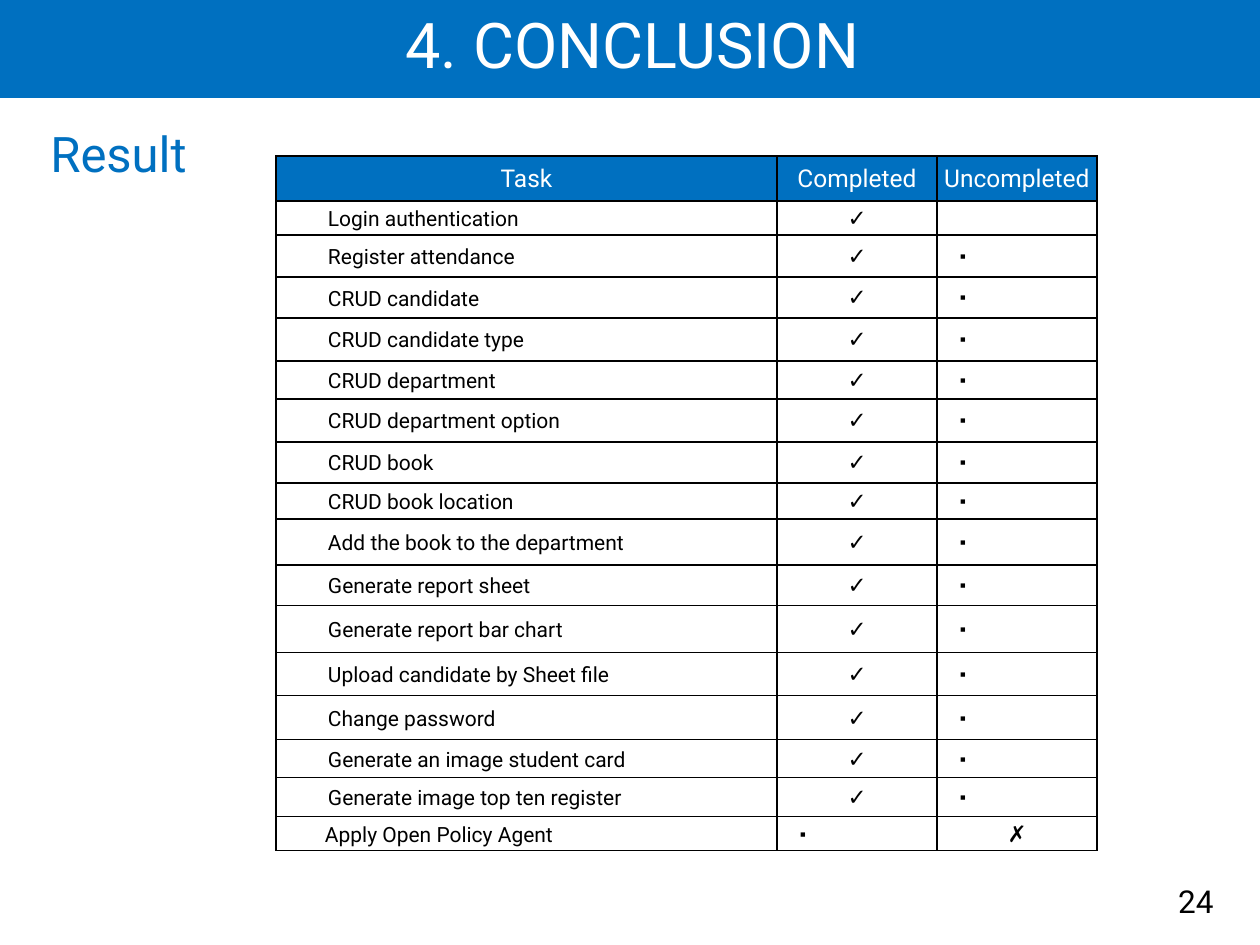
from dataclasses import dataclass

from lxml.etree import SubElement
from pptx import Presentation
from pptx.dml.color import RGBColor
from pptx.enum.shapes import MSO_SHAPE
from pptx.enum.text import MSO_ANCHOR, PP_ALIGN
from pptx.oxml.ns import qn
from pptx.util import Emu, Pt

PX_PER_INCH = 126


@dataclass(frozen=True)
class Theme:
    blue: str = "0070C0"
    white: str = "FFFFFF"
    black: str = "000000"
    font: str = "Roboto"
    symbol_font: str = "Arial"
    title: int = 36
    heading: int = 28
    page_number: int = 18
    header: int = 14
    task: int = 12
    mark: int = 13
    bullet: int = 10


THEME = Theme()
DONE, MISSED, BULLET = "✓", "✗", "▪"
HEADERS = ["Task", "Completed", "Uncompleted"]
TASKS = [
    "Login authentication", "Register attendance", "CRUD candidate",
    "CRUD candidate type", "CRUD department", "CRUD department option",
    "CRUD book", "CRUD book location", "Add the book to the department",
    "Generate report sheet", "Generate report bar chart",
    "Upload candidate by Sheet file", "Change password",
    "Generate an image student card", "Generate image top ten register",
]
RESULTS = [
    (TASKS[0], DONE, ""),
    *[(task, DONE, BULLET) for task in TASKS[1:]],
    ("Apply Open Policy Agent", BULLET, MISSED),
]
COLUMN_WIDTHS = [501, 160, 160]
ROW_HEIGHTS = [45, 34, 42, 41, 43, 38, 43, 41, 36, 46, 41, 47, 43, 44, 38, 39, 34]


def px(length):
    return Emu(round(length * 914400 / PX_PER_INCH))


def write(frame, text, *, size, color=THEME.black, font=THEME.font,
          align=PP_ALIGN.LEFT, line_spacing=1.0):
    para = frame.paragraphs[0]
    para.alignment = align
    para.line_spacing = line_spacing
    if not text:
        # An empty paragraph takes its height from its end mark.
        SubElement(para._p, qn("a:endParaRPr"), sz=str(size * 100))
        return
    span = para.add_run()
    span.text = text
    span.font.size = Pt(size)
    span.font.name = font
    span.font.color.rgb = RGBColor.from_string(color)


def add_text(slide, box, text, *, anchor=MSO_ANCHOR.TOP, **text_format):
    frame = slide.shapes.add_textbox(*map(px, box)).text_frame
    frame.word_wrap = True
    frame.vertical_anchor = anchor
    write(frame, text, **text_format)


def add_title_band(slide, box, text):
    left, top, width, height = box
    band = slide.shapes.add_shape(MSO_SHAPE.RECTANGLE, *map(px, box))
    band.shadow.inherit = False
    band.fill.solid()
    band.fill.fore_color.rgb = RGBColor.from_string(THEME.blue)
    band.line.color.rgb = RGBColor.from_string(THEME.blue)
    band.line.width = Pt(1)
    add_text(slide, (left + 38, top + 1, width - 71, height - 1), text,
             anchor=MSO_ANCHOR.MIDDLE, size=THEME.title, color=THEME.white,
             align=PP_ALIGN.CENTER, line_spacing=0.9)


def style_cell(cell, fill, left_margin):
    cell.vertical_anchor = MSO_ANCHOR.MIDDLE
    cell.margin_left = px(left_margin)
    cell.margin_top = cell.margin_right = px(1)
    cell.margin_bottom = 0
    properties = cell._tc.get_or_add_tcPr()
    for side in ("lnL", "lnR", "lnT", "lnB"):
        border = SubElement(properties, qn(f"a:{side}"), w=str(Pt(1)))
        paint = SubElement(border, qn("a:solidFill"))
        SubElement(paint, qn("a:srgbClr"), val=THEME.black)
    cell.fill.solid()
    cell.fill.fore_color.rgb = RGBColor.from_string(fill)


def fill_header_cell(cell, text):
    style_cell(cell, THEME.blue, 1)
    write(cell.text_frame, text, size=THEME.header, color=THEME.white,
          align=PP_ALIGN.CENTER)


def fill_task_cell(cell, text, left_margin):
    style_cell(cell, THEME.white, left_margin)
    write(cell.text_frame, text, size=THEME.task, line_spacing=1.07)


def fill_mark_cell(cell, mark):
    """Centre a tick or cross; set a bullet or nothing at the left."""
    centred = mark in (DONE, MISSED)
    style_cell(cell, THEME.white, 1 if centred else 23)
    write(cell.text_frame, mark, font=THEME.symbol_font,
          size=THEME.mark if centred else THEME.bullet,
          align=PP_ALIGN.CENTER if centred else PP_ALIGN.LEFT)


def add_result_table(slide, left, top):
    box = (left, top, sum(COLUMN_WIDTHS), sum(ROW_HEIGHTS))
    table = slide.shapes.add_table(
        len(ROW_HEIGHTS), len(COLUMN_WIDTHS), *map(px, box)).table
    table.horz_banding = False
    for column, width in zip(table.columns, COLUMN_WIDTHS):
        column.width = px(width)
    for row, height in zip(table.rows, ROW_HEIGHTS):
        row.height = px(height)
    for index, header in enumerate(HEADERS):
        fill_header_cell(table.cell(0, index), header)
    for index, (task, *marks) in enumerate(RESULTS, start=1):
        fill_task_cell(table.cell(index, 0), task,
                       49 if MISSED in marks else 52)
        for column, mark in enumerate(marks, start=1):
            fill_mark_cell(table.cell(index, column), mark)


def main():
    deck = Presentation()
    deck.slide_width, deck.slide_height = px(1260), px(945)
    slide = deck.slides.add_slide(deck.slide_layouts[6])
    add_title_band(slide, (0, -1, 1260, 98), "4. CONCLUSION")
    add_text(slide, (38, 124, 408, 64), "Result", size=THEME.heading,
             color=THEME.blue, line_spacing=0.9)
    add_result_table(slide, 276, 156)
    add_text(slide, (890, 876, 336, 50), "24", anchor=MSO_ANCHOR.MIDDLE,
             size=THEME.page_number, align=PP_ALIGN.RIGHT)
    deck.save("out.pptx")


if __name__ == "__main__":
    main()
